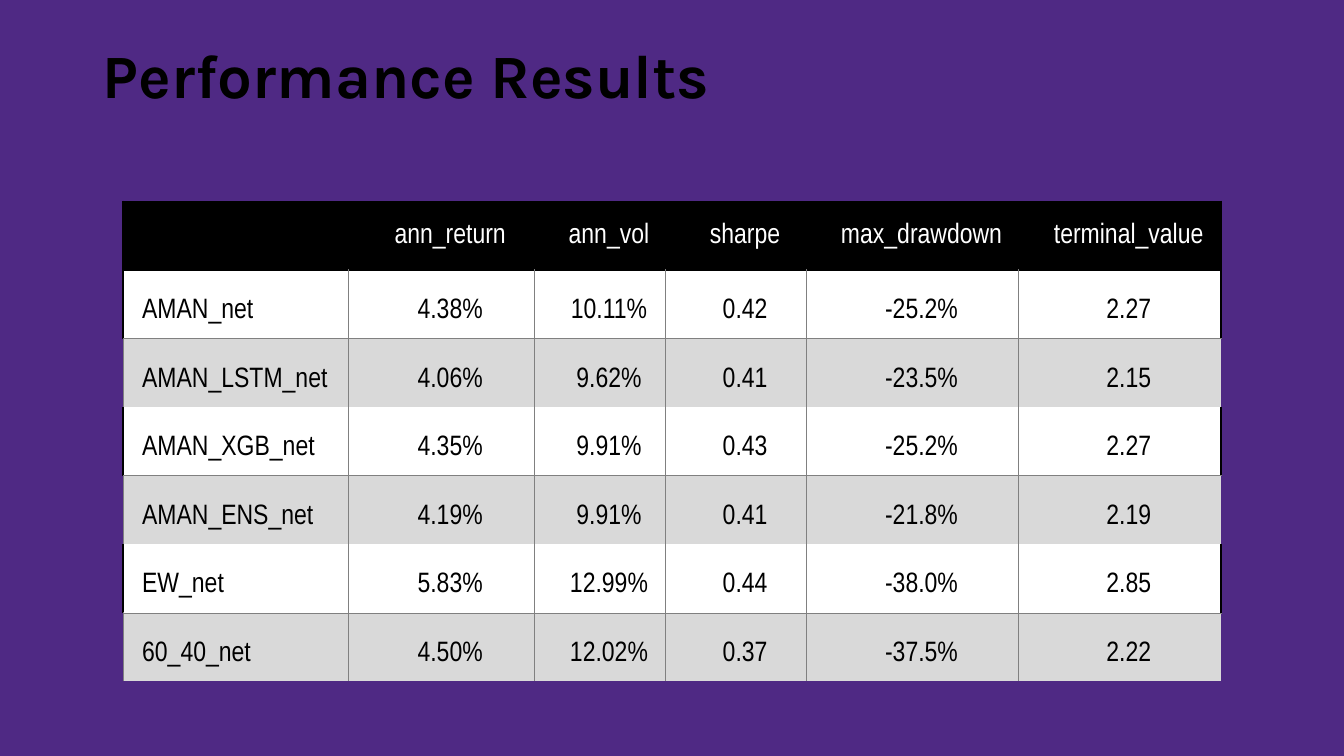
from dataclasses import dataclass

from lxml.etree import SubElement as Sub
from pptx import Presentation as Deck
from pptx.dml.color import RGBColor as Rgb
from pptx.enum.text import MSO_ANCHOR as Anchor, PP_ALIGN as Align
from pptx.oxml.ns import qn
from pptx.util import Inches, Pt


@dataclass(frozen=True)
class Theme:
    back: str = "4F2984"
    dark: str = "000000"
    light: str = "FFFFFF"
    band: str = "D9D9D9"
    grid: str = "808080"
    head: str = "Karla"
    body: str = "Arial Narrow"
    large: int = 44
    small: int = 20
    thick: float = 1.5
    thin: float = 0.5


def apply(item, form):
    for name, value in form.items():
        setattr(item, name, value)


class Page:
    def __init__(self, deck, theme):
        self.theme = theme
        self.slide = deck.slides.add_slide(deck.slide_layouts[6])
        fill = self.slide.background.fill
        fill.solid()
        fill.fore_color.rgb = Rgb.from_string(theme.back)

    def label(self, par, text, color, form):
        run = par.add_run()
        run.text = text
        apply(run.font, form)
        run.font.color.rgb = Rgb.from_string(color)

    def title(self, text, box):
        theme = self.theme
        frame = self.slide.shapes.add_textbox(*map(Inches, box)).text_frame
        apply(frame, {"word_wrap": True, "vertical_anchor": Anchor.TOP})
        par = frame.paragraphs[0]
        apply(par, {"line_spacing": 0.9, "space_after": Pt(6)})
        form = {"name": theme.head, "size": Pt(theme.large), "bold": True}
        self.label(par, text, theme.dark, form)

    def edges(self, row, first, last):
        theme = self.theme
        dark = (theme.dark, theme.thick)
        grid = (theme.grid, theme.thin)
        if row == 0:
            return {"L": dark if first else None, "R": dark if last else None,
                    "T": dark, "B": dark}
        if row % 2:
            return {"L": dark if first else grid, "R": dark if last else grid,
                    "T": dark if row == 1 else None, "B": grid}
        return {"L": grid, "R": None if last else grid, "T": grid, "B": None}

    def border(self, cell, sides):
        props = cell._tc.get_or_add_tcPr()
        for side, style in sides.items():
            line = Sub(props, qn(f"a:ln{side}"))
            if style is None:
                Sub(line, qn("a:noFill"))
                continue
            color, width = style
            line.set("w", str(Pt(width)))
            Sub(Sub(line, qn("a:solidFill")), qn("a:srgbClr")).set("val", color)

    def cell(self, cell, text, row, col, last):
        theme = self.theme
        self.border(cell, self.edges(row, col == 0, last))
        shade = theme.light if row % 2 else theme.band
        cell.fill.solid()
        cell.fill.fore_color.rgb = Rgb.from_string(shade if row else theme.dark)
        apply(cell, {
            "margin_left": Inches(0.19), "margin_right": Inches(0.01),
            "margin_top": Inches(0.14), "margin_bottom": Inches(0.14),
            "vertical_anchor": Anchor.BOTTOM if row else Anchor.MIDDLE,
        })
        if text:
            par = cell.text_frame.paragraphs[0]
            par.alignment = Align.CENTER if col else Align.LEFT
            form = {"name": theme.body, "size": Pt(theme.small)}
            self.label(par, text, theme.dark if row else theme.light, form)

    def table(self, data, left, top, widths, height):
        size = (left, top, sum(widths), height * len(data))
        shape = self.slide.shapes.add_table(len(data), len(widths), *map(Inches, size))
        table = shape.table
        apply(table, {"first_row": False, "horz_banding": False})
        for col, width in zip(table.columns, widths):
            col.width = Inches(width)
        for r, row in enumerate(data):
            table.rows[r].height = Inches(height)
            for c, text in enumerate(row):
                self.cell(table.cell(r, c), text, r, c, c == len(widths) - 1)


RESULTS = [
    ("", "ann_return", "ann_vol", "sharpe", "max_drawdown", "terminal_value"),
    ("AMAN_net", "4.38%", "10.11%", "0.42", "-25.2%", "2.27"),
    ("AMAN_LSTM_net", "4.06%", "9.62%", "0.41", "-23.5%", "2.15"),
    ("AMAN_XGB_net", "4.35%", "9.91%", "0.43", "-25.2%", "2.27"),
    ("AMAN_ENS_net", "4.19%", "9.91%", "0.41", "-21.8%", "2.19"),
    ("EW_net", "5.83%", "12.99%", "0.44", "-38.0%", "2.85"),
    ("60_40_net", "4.50%", "12.02%", "0.37", "-37.5%", "2.22"),
]


def main():
    deck = Deck()
    apply(deck, {"slide_width": Inches(13.33), "slide_height": Inches(7.5)})
    page = Page(deck, Theme())
    page.title("Performance Results", (0.92, 0.4, 11.5, 1.45))
    page.table(RESULTS, 1.22, 2, (2.23, 1.85, 1.3, 1.4, 2.1, 2.01), 0.68)
    deck.save("out.pptx")


if __name__ == "__main__":
    main()
